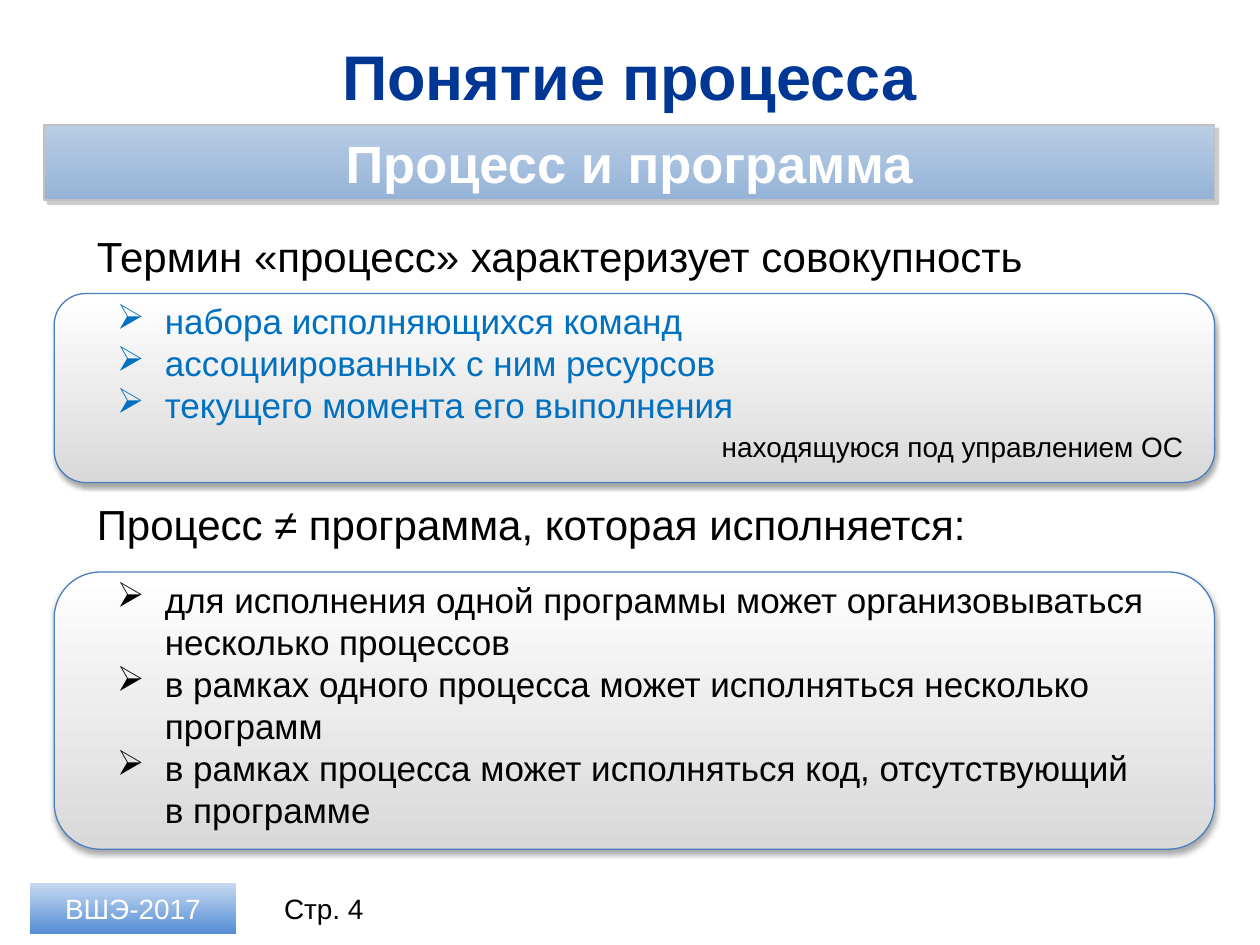
import pptx
import pptx.util
import pptx.dml.color
import pptx.enum.shapes
import pptx.enum.text
import pptx.oxml
import pptx.oxml.ns

KIND = pptx.enum.shapes.MSO_SHAPE
ALIGN = pptx.enum.text.PP_ALIGN
ANCHOR = pptx.enum.text.MSO_ANCHOR
COLS, ROWS = 100, 75  # grid cells across and down the slide


def color(code):
    return pptx.dml.color.RGBColor.from_string(code)


def apply(target, values):
    for name, value in values.items():
        setattr(target, name, value)


class Deck:
    font = "Arial"
    soft = ("000000", 35, 3.1, 1.8, 90)  # colour, opacity, blur, distance, angle
    hard = ("808080", 40, 0, 3, 45)

    def __init__(self):
        self.show = pptx.Presentation()
        self.show.slide_width = pptx.util.Inches(10)
        self.show.slide_height = pptx.util.Inches(7.5)
        self.slide = self.show.slides.add_slide(self.show.slide_layouts[5])

    def spot(self, col, row, wide, high):
        cell_w = self.show.slide_width / COLS
        cell_h = self.show.slide_height / ROWS
        return [round(n) for n in (col * cell_w, row * cell_h, wide * cell_w, high * cell_h)]

    def label(self, shape, lines, size, ink="000000", bold=False, align=ALIGN.LEFT,
              anchor=ANCHOR.TOP, mark=None, pad=0.1):
        frame = shape.text_frame
        side, edge = pptx.util.Inches(pad), pptx.util.Inches(0.05)
        apply(frame, dict(word_wrap=True, vertical_anchor=anchor, margin_left=side,
                          margin_right=side, margin_top=edge, margin_bottom=edge,
                          auto_size=pptx.enum.text.MSO_AUTO_SIZE.NONE))
        frame.text = "\n".join(lines)
        for para in frame.paragraphs:
            if mark:
                props = para._p.get_or_add_pPr()
                indent = pptx.util.Inches(0.38)
                props.set("marL", str(indent))
                props.set("indent", str(-indent))
                bullet = pptx.oxml.parse_xml(
                    f'<a:buChar {pptx.oxml.ns.nsdecls("a")} char="{mark}"/>')
                props.append(bullet)
            para.alignment = align
            apply(para.font, dict(name=self.font, size=pptx.util.Pt(size), bold=bold))
            para.font.color.rgb = color(ink)

    def title(self, at, text, **style):
        shape = self.slide.shapes.title
        apply(shape, dict(zip(("left", "top", "width", "height"), self.spot(*at))))
        self.label(shape, [text], **style)

    def text(self, at, *lines, **style):
        self.label(self.slide.shapes.add_textbox(*self.spot(*at)), lines, **style)

    def panel(self, kind, at, top, base, edge=None, width=0.75, shade=None):
        shape = self.slide.shapes.add_shape(kind, *self.spot(*at))
        shape.fill.gradient()
        shape.fill.gradient_angle = 270
        for stop, code in zip(shape.fill.gradient_stops, (top, base)):
            stop.color.rgb = color(code)
        if edge:
            shape.line.color.rgb = color(edge)
            shape.line.width = pptx.util.Pt(width)
        else:
            shape.line.fill.background()
        shape.shadow.inherit = False
        if shade:
            self.cast(shape, *shade)
        return shape

    def cast(self, shape, code, alpha, blur, dist, angle):
        effects = shape._element.spPr.find(pptx.oxml.ns.qn("a:effectLst"))
        effects.append(pptx.oxml.parse_xml(
            f'<a:outerShdw {pptx.oxml.ns.nsdecls("a")} blurRad="{pptx.util.Pt(blur)}" '
            f'dist="{pptx.util.Pt(dist)}" dir="{angle * 60000}" rotWithShape="0">'
            f'<a:srgbClr val="{code}"><a:alpha val="{alpha * 1000}"/></a:srgbClr>'
            f'</a:outerShdw>'))


def main():
    deck = Deck()
    mid = dict(align=ALIGN.CENTER, anchor=ANCHOR.MIDDLE)

    # Rounded panels behind the lists
    for row, high in ((45.4, 22), (23.3, 15)):
        deck.panel(KIND.ROUNDED_RECTANGLE, (4.3, row, 92.1, high), "FFFFFF", "D9D9D9",
                   edge="4B7EBC", shade=deck.soft)

    # Title and subtitle band
    deck.title((3.5, 2.6, 92.9, 6.8), "Понятие процесса",
               size=36, ink="003794", bold=True, **mid)
    band = deck.panel(KIND.RECTANGLE, (3.5, 9.9, 92.9, 6), "B9CDE5", "95B3D7",
                      edge="C0C0C0", width=1, shade=deck.hard)
    deck.label(band, ["Процесс и программа"], 30, "FFFFFF", True, pad=0.24, **mid)

    # Footer
    deck.text((20.3, 70.1, 10.8, 4), "Стр. 4", size=16, **mid)
    badge = deck.panel(KIND.RECTANGLE, (2.4, 70.1, 16.3, 4), "C6D9F1", "558ED5")
    deck.label(badge, ["ВШЭ-2017"], 16, "FFFFFF", **mid)

    # What a process is
    deck.text((6.7, 17.8, 85.8, 5), "Термин «процесс» характеризует совокупность", size=24)
    deck.text((8.3, 23.3, 83.5, 11.1),
              "набора исполняющихся команд",
              "ассоциированных с ним ресурсов",
              "текущего момента его выполнения",
              size=20, ink="0070C0", mark="➢")
    deck.text((56.3, 33.6, 39.4, 3.7), "находящуюся под управлением ОС", size=16)

    # Process versus program
    deck.text((6.7, 39.1, 85.8, 5), "Процесс ≠ программа, которая исполняется:", size=24)
    deck.text((8.3, 45.4, 83.5, 21.2),
              "для исполнения одной программы может организовываться несколько процессов",
              "в рамках одного процесса может исполняться несколько программ",
              "в рамках процесса может исполняться код, отсутствующий в программе",
              size=20, mark="➢")

    deck.show.save("out.pptx")


if __name__ == "__main__":
    main()
